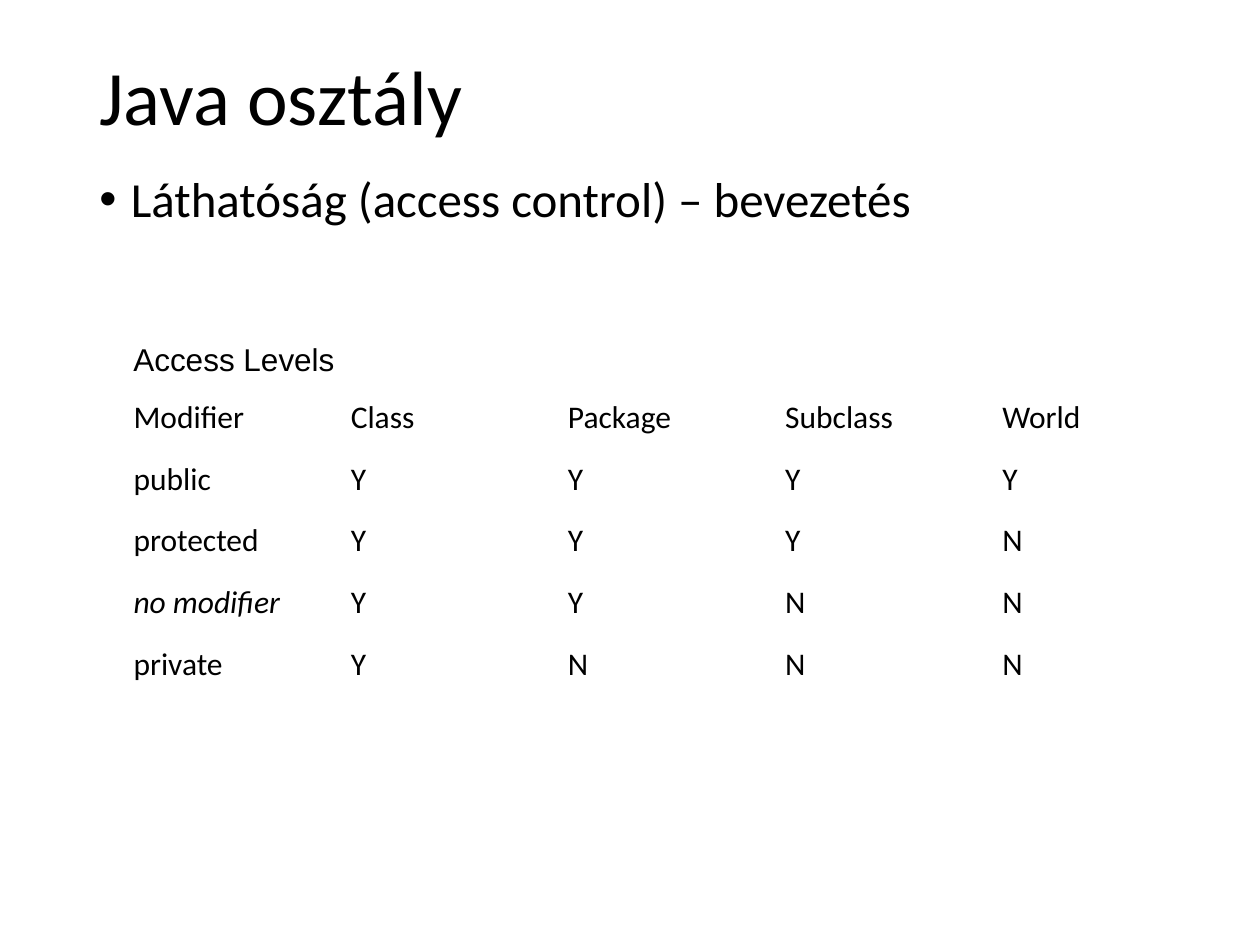
from dataclasses import dataclass

from lxml.etree import SubElement
from pptx import Presentation
from pptx.dml.color import RGBColor
from pptx.enum.text import MSO_ANCHOR as Anchor
from pptx.oxml.ns import qn
from pptx.util import Pt

COLORS = {"text": "000000", "background": "FFFFFF"}
BLANK_LAYOUT = 6


@dataclass
class TextBlock:
    text: str
    left: float
    top: float
    width: float
    height: float
    size: float
    font: str = "Calibri"
    anchor: Anchor = Anchor.MIDDLE
    line_spacing: float = 1.0
    bullet_indent: float = 0


@dataclass
class AccessTable:
    rows: list[list[str]]
    left: float
    top: float
    column_width: float
    row_height: float
    size: float
    italic_label: str


def style_font(paragraph, size: float, name: str, italic: bool = False) -> None:
    for run in paragraph.runs:
        run.font.size = Pt(size)
        run.font.name = name
        run.font.bold = False
        run.font.italic = italic
        run.font.color.rgb = RGBColor.from_string(COLORS["text"])


def add_bullet(paragraph, indent: float) -> None:
    properties = paragraph._p.get_or_add_pPr()
    properties.set("marL", str(Pt(indent)))
    properties.set("indent", str(-Pt(indent)))
    SubElement(properties, qn("a:buFont")).set("typeface", "Arial")
    SubElement(properties, qn("a:buChar")).set("char", "•")


def draw_text(slide, block: TextBlock) -> None:
    shape = slide.shapes.add_textbox(
        Pt(block.left), Pt(block.top), Pt(block.width), Pt(block.height)
    )
    text_frame = shape.text_frame
    text_frame.word_wrap = True
    text_frame.vertical_anchor = block.anchor
    text_frame.text = block.text
    paragraph = text_frame.paragraphs[0]
    if block.bullet_indent:
        add_bullet(paragraph, block.bullet_indent)
    paragraph.line_spacing = block.line_spacing
    style_font(paragraph, block.size, block.font)


def draw_table(slide, access: AccessTable) -> None:
    row_count, column_count = len(access.rows), len(access.rows[0])
    table = slide.shapes.add_table(
        row_count,
        column_count,
        Pt(access.left),
        Pt(access.top),
        Pt(access.column_width * column_count),
        Pt(access.row_height * row_count),
    ).table
    table.first_row = False
    table.horz_banding = False
    for column in table.columns:
        column.width = Pt(access.column_width)
    for row, values in zip(table.rows, access.rows):
        row.height = Pt(access.row_height)
        for cell, value in zip(row.cells, values):
            cell.fill.background()
            cell.vertical_anchor = Anchor.MIDDLE
            cell.text_frame.text = value
            style_font(
                cell.text_frame.paragraphs[0],
                access.size,
                "Calibri",
                italic=value == access.italic_label,
            )


TITLE = TextBlock("Java osztály", 49.68, 28.8, 620.64, 57.6, 44, line_spacing=0.9)
TOPIC = TextBlock(
    "Láthatóság (access control) – bevezetés",
    49.68, 96.48, 620.64, 389.52, 28,
    anchor=Anchor.TOP, line_spacing=0.9, bullet_indent=18,
)
TABLE_CAPTION = TextBlock("Access Levels", 69.12, 190.8, 563.76, 28.8, 18, font="Arial")
ACCESS_LEVELS = AccessTable(
    rows=[
        ["Modifier", "Class", "Package", "Subclass", "World"],
        ["public", "Y", "Y", "Y", "Y"],
        ["protected", "Y", "Y", "Y", "N"],
        ["no modifier", "Y", "Y", "N", "N"],
        ["private", "Y", "N", "N", "N"],
    ],
    left=69.12,
    top=221.04,
    column_width=124.13,
    row_height=35.28,
    size=18,
    italic_label="no modifier",
)


def main() -> None:
    presentation = Presentation()
    presentation.slide_width = Pt(720)
    presentation.slide_height = Pt(540)
    slide = presentation.slides.add_slide(presentation.slide_layouts[BLANK_LAYOUT])
    background = slide.background.fill
    background.solid()
    background.fore_color.rgb = RGBColor.from_string(COLORS["background"])
    draw_text(slide, TITLE)
    draw_text(slide, TOPIC)
    draw_table(slide, ACCESS_LEVELS)
    draw_text(slide, TABLE_CAPTION)
    presentation.save("out.pptx")


if __name__ == "__main__":
    main()
